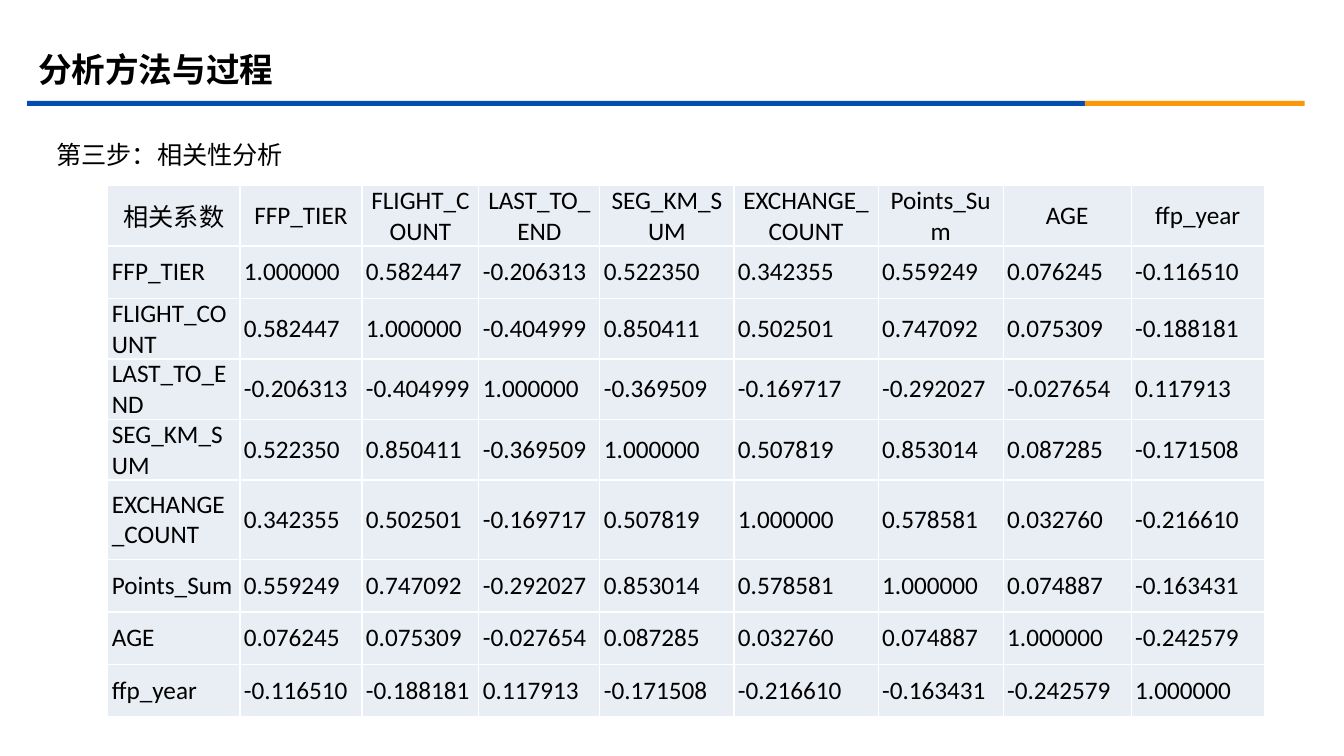
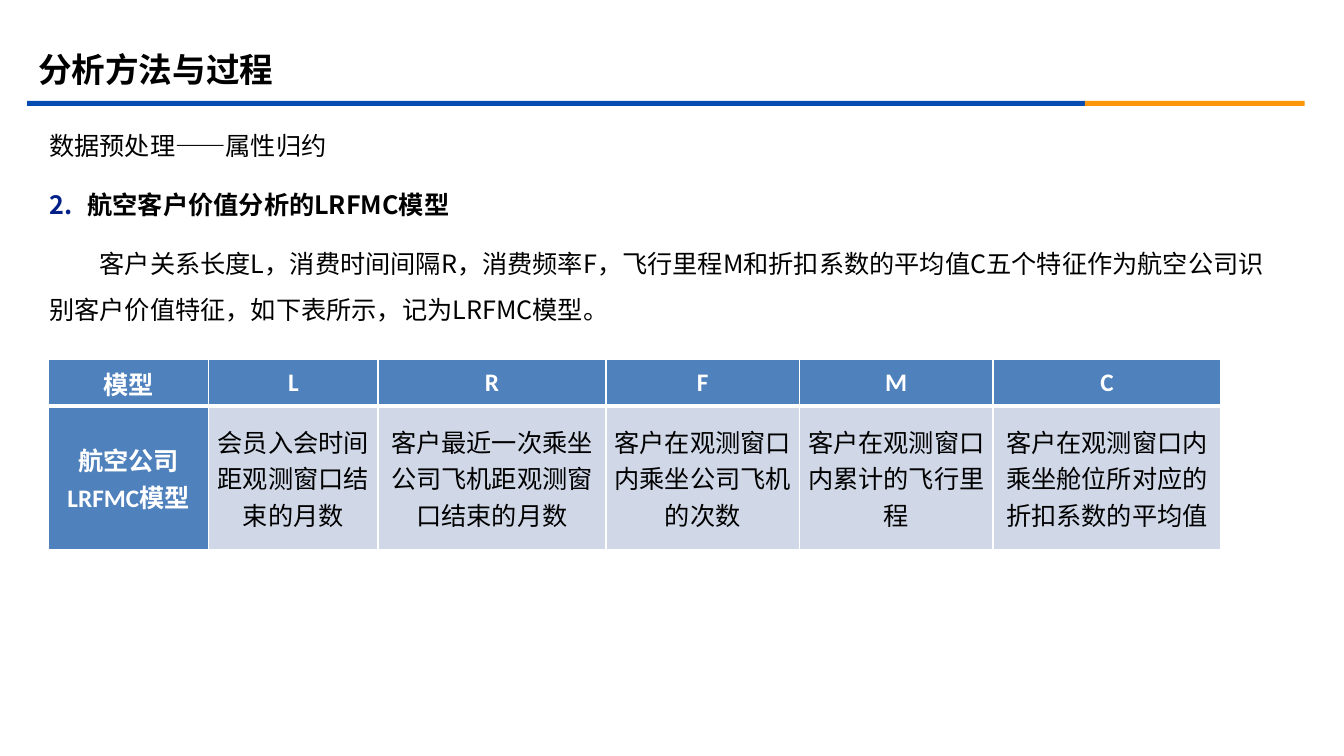
import pptx
import pptx.util
import pptx.dml.color
import pptx.enum.shapes
import pptx.enum.text
import pptx.oxml.ns
import lxml.etree

Inches = pptx.util.Inches
Pt = pptx.util.Pt
RGBColor = pptx.dml.color.RGBColor
ALIGN = pptx.enum.text.PP_ALIGN
ANCHOR = pptx.enum.text.MSO_ANCHOR

BLACK = RGBColor(0x00, 0x00, 0x00)
WHITE = RGBColor(0xFF, 0xFF, 0xFF)
BAND_BLUE = RGBColor(0x06, 0x4B, 0xB2)
BAND_ORANGE = RGBColor(0xFB, 0x97, 0x08)
NUMBER_BLUE = RGBColor(0x03, 0x20, 0x89)
PALE_CELL = RGBColor(0xE9, 0xED, 0xF4)
HEADER_CELL = RGBColor(0x4F, 0x81, 0xBD)
BODY_CELL = RGBColor(0xD0, 0xD8, 0xE8)

HEADING_FONT = "Noto Sans CJK SC"
TABLE_FONT = "Calibri"
TITLE = "分析方法与过程"

FEATURES = ["FFP_TIER", "FLIGHT_COUNT", "LAST_TO_END", "SEG_KM_SUM",
            "EXCHANGE_COUNT", "Points_Sum", "AGE", "ffp_year"]
LOWER_TRIANGLE = [
    [],
    [0.582447],
    [-0.206313, -0.404999],
    [0.522350, 0.850411, -0.369509],
    [0.342355, 0.502501, -0.169717, 0.507819],
    [0.559249, 0.747092, -0.292027, 0.853014, 0.578581],
    [0.076245, 0.075309, -0.027654, 0.087285, 0.032760, 0.074887],
    [-0.116510, -0.188181, 0.117913, -0.171508, -0.216610, -0.163431, -0.242579],
]
MODEL_ROWS = [
    ["模型", "L", "R", "F", "M", "C"],
    ["航空公司LRFMC模型",
     "会员入会时间距观测窗口结束的月数",
     "客户最近一次乘坐公司飞机距观测窗口结束的月数",
     "客户在观测窗口内乘坐公司飞机的次数",
     "客户在观测窗口内累计的飞行里程",
     "客户在观测窗口内乘坐舱位所对应的折扣系数的平均值"],
]


def add_xml(parent, tag, **attributes):
    return lxml.etree.SubElement(parent, pptx.oxml.ns.qn(tag), attributes)


def style_paragraph(para, size, name, color=BLACK, bold=False):
    font = para.font
    font.size = Pt(size)
    font.name = name
    font.bold = bold
    font.color.rgb = color
    properties = para._p.get_or_add_pPr().find(pptx.oxml.ns.qn("a:defRPr"))
    add_xml(properties, "a:ea", typeface=HEADING_FONT)


def number_paragraph(para, start):
    properties = para._p.get_or_add_pPr()
    defaults = properties.find(pptx.oxml.ns.qn("a:defRPr"))
    color = add_xml(properties, "a:buClr")
    add_xml(color, "a:srgbClr", val=str(NUMBER_BLUE))
    numbering = add_xml(properties, "a:buAutoNum", type="arabicPeriod", startAt=str(start))
    defaults.addprevious(color)
    defaults.addprevious(numbering)


def indent_paragraph(para, left, first):
    properties = para._p.get_or_add_pPr()
    properties.set("marL", str(Inches(left)))
    properties.set("indent", str(Inches(first)))


def add_text_box(page, left, top, width, height):
    box = page.shapes.add_textbox(Inches(left), Inches(top), Inches(width), Inches(height))
    box.text_frame.word_wrap = True
    return box.text_frame


def add_band(page, left, width, color):
    band = page.shapes.add_shape(pptx.enum.shapes.MSO_SHAPE.RECTANGLE,
                                 Inches(left), Inches(1), Inches(width), Inches(0.05))
    band.shadow.inherit = False
    band.fill.solid()
    band.fill.fore_color.rgb = color
    band.line.fill.background()


def add_page(deck):
    page = deck.slides.add_slide(deck.slide_layouts[6])
    add_band(page, 0.27, 10.49, BAND_BLUE)
    add_band(page, 10.76, 2.18, BAND_ORANGE)
    frame = add_text_box(page, 0.28, 0.39, 12, 0.58)
    frame.vertical_anchor = ANCHOR.MIDDLE
    para = frame.paragraphs[0]
    para.text = TITLE
    style_paragraph(para, 24, HEADING_FONT, bold=True)
    return page


def add_body(page, left, top, width, height, texts):
    frame = add_text_box(page, left, top, width, height)
    frame.text = "\n".join(texts)
    for para in frame.paragraphs:
        para.line_spacing = 1.5
        para.space_before = Pt(10)
        style_paragraph(para, 18, HEADING_FONT)
    return frame.paragraphs


def set_borders(cell, bottom):
    properties = cell._tc.get_or_add_tcPr()
    widths = {"a:lnL": 1, "a:lnR": 1, "a:lnT": 1, "a:lnB": bottom}
    for position, (tag, width) in enumerate(widths.items()):
        line = add_xml(properties, tag, w=str(Pt(width)))
        fill = add_xml(line, "a:solidFill")
        add_xml(fill, "a:srgbClr", val=str(WHITE))
        properties.insert(position, line)


def fill_cell(cell, text, fill, color, bold, align, margin, bottom):
    cell.text = text
    cell.vertical_anchor = ANCHOR.MIDDLE
    cell.margin_left = cell.margin_right = Inches(margin)
    cell.margin_top = cell.margin_bottom = 0
    cell.fill.solid()
    cell.fill.fore_color.rgb = fill
    para = cell.text_frame.paragraphs[0]
    para.alignment = align
    style_paragraph(para, 18, TABLE_FONT, color, bold)
    set_borders(cell, bottom)


def add_grid(page, left, top, widths, heights, rows, margin, cell_style):
    frame = page.shapes.add_table(len(rows), len(widths), Inches(left), Inches(top),
                                  Inches(sum(widths)), Inches(sum(heights)))
    table = frame.table
    table.horz_banding = False
    for column, width in zip(table.columns, widths):
        column.width = Inches(width)
    for row, height in zip(table.rows, heights):
        row.height = Inches(height)
    for row_index, texts in enumerate(rows):
        for column_index, text in enumerate(texts):
            fill_cell(table.cell(row_index, column_index), text, margin=margin,
                      **cell_style(row_index, column_index))


def correlation_rows():
    rows = [["相关系数"] + FEATURES]
    for first, feature in enumerate(FEATURES):
        values = [1 if first == second
                  else LOWER_TRIANGLE[max(first, second)][min(first, second)]
                  for second in range(len(FEATURES))]
        rows.append([feature] + [f"{value:.6f}" for value in values])
    return rows


def correlation_style(row, column):
    return dict(fill=PALE_CELL, color=BLACK, bold=False, bottom=1,
                align=ALIGN.CENTER if row == 0 else ALIGN.JUSTIFY)


def model_style(row, column):
    heading = row == 0 or column == 0
    return dict(fill=HEADER_CELL if heading else BODY_CELL,
                color=WHITE if heading else BLACK, bold=heading,
                bottom=3 if row == 0 else 1, align=ALIGN.CENTER)


def add_correlation_page(deck):
    page = add_page(deck)
    add_body(page, 0.46, 1.18, 12.34, 5.52, ["第三步：相关性分析"])
    add_grid(page, 1.07, 1.84,
             [1.31, 1.21, 1.16, 1.2, 1.33, 1.43, 1.24, 1.27, 1.32],
             [0.6, 0.52, 0.6, 0.6, 0.6, 0.79, 0.52, 0.52, 0.52],
             correlation_rows(), 0.04, correlation_style)


def add_model_page(deck):
    page = add_page(deck)
    topic, heading, summary = add_body(page, 0.39, 1.09, 12.35, 5.76, [
        "数据预处理——属性归约",
        "航空客户价值分析的LRFMC模型",
        "客户关系长度L，消费时间间隔R，消费频率F，飞行里程M和折扣系数的平均值C"
        "五个特征作为航空公司识别客户价值特征，如下表所示，记为LRFMC模型。",
    ])
    heading.font.bold = True
    indent_paragraph(heading, 0.38, -0.38)
    number_paragraph(heading, 2)
    indent_paragraph(summary, 0, 0.5)
    add_grid(page, 0.48, 3.57, [1.59, 1.68, 2.26, 1.92, 1.92, 2.26], [0.46, 1.42],
             MODEL_ROWS, 0.06, model_style)


def main():
    deck = pptx.Presentation()
    deck.slide_width = Inches(13.33)
    deck.slide_height = Inches(7.5)
    add_correlation_page(deck)
    add_model_page(deck)
    deck.save("out.pptx")


if __name__ == "__main__":
    main()
